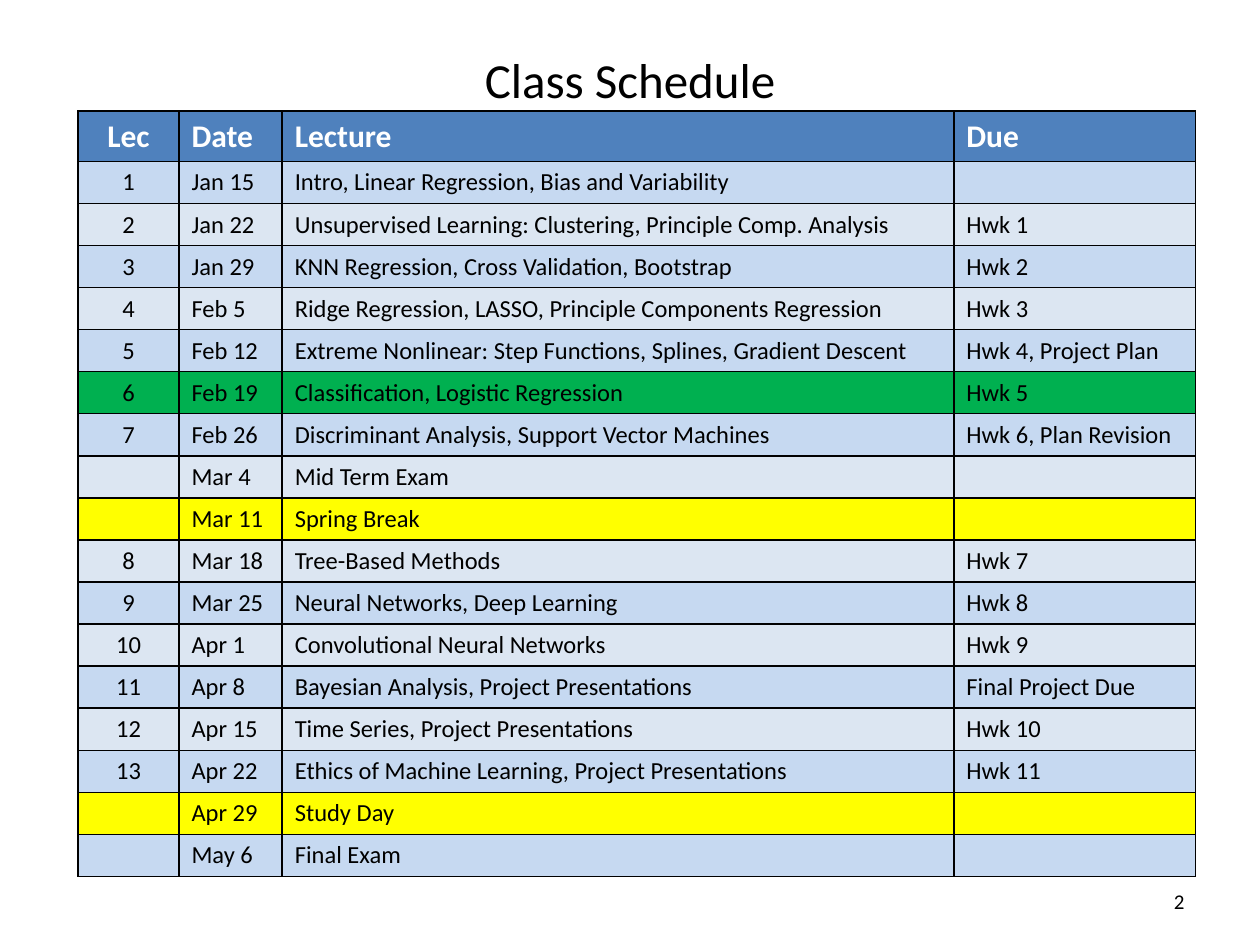
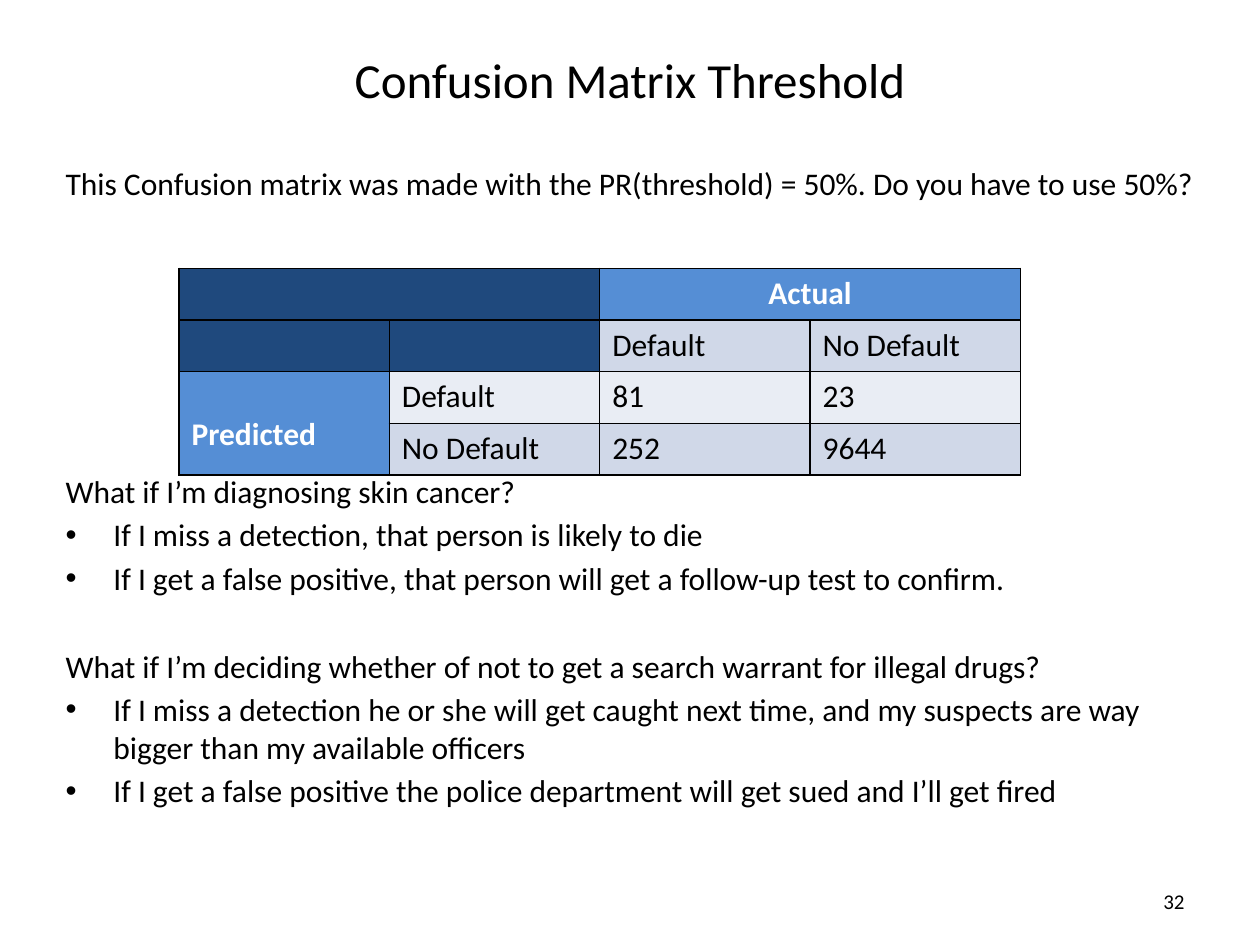
"""Builds the class schedule and confusion matrix slides."""
import dataclasses

import pptx
import pptx.dml.color
import pptx.enum.text
import pptx.oxml.ns
import pptx.util
from lxml import etree

Inches = pptx.util.Inches
Pt = pptx.util.Pt
ALIGN = pptx.enum.text.PP_ALIGN
ANCHOR = pptx.enum.text.MSO_ANCHOR
qn = pptx.oxml.ns.qn


@dataclasses.dataclass(frozen=True)
class Theme:
    font: str = "Calibri"
    title: int = 28
    text: int = 18
    entry: int = 14
    number: int = 12
    black: str = "000000"
    white: str = "FFFFFF"
    header: str = "4F81BD"
    bands: tuple = ("DCE6F2", "C6D9F1")
    current: str = "00B050"
    holiday: str = "FFFF00"
    corner: str = "1F497D"
    axis: str = "558ED5"
    matrix_bands: tuple = ("E9EDF4", "D0D8E8")
    line_gap: float = 3.25


def rgb(value):
    return pptx.dml.color.RGBColor.from_string(value)


def apply(target, values):
    for name, value in values.items():
        setattr(target, name, value)


class Deck:
    def __init__(self, theme):
        self.theme = theme
        self.show = pptx.Presentation()
        apply(self.show, {"slide_width": Inches(10), "slide_height": Inches(7.5)})
        self.slide = None

    def add_slide(self, layout, title, number):
        self.slide = self.show.slides.add_slide(self.show.slide_layouts[layout])
        heading = self.slide.shapes.title
        self.place(heading, 0.5, 0, 9, 1.25)
        heading.text_frame.vertical_anchor = ANCHOR.MIDDLE
        self.add_text(heading.text_frame.paragraphs[0], title, self.theme.title,
                      align=ALIGN.CENTER)
        box = self.slide.shapes.add_textbox(Inches(7.17), Inches(6.95), Inches(2.33), Inches(0.4))
        apply(box.text_frame, {"word_wrap": True, "vertical_anchor": ANCHOR.MIDDLE})
        self.add_text(box.text_frame.paragraphs[0], number, self.theme.number,
                      align=ALIGN.RIGHT)

    def place(self, shape, left, top, width, height):
        apply(shape, {"left": Inches(left), "top": Inches(top),
                      "width": Inches(width), "height": Inches(height)})

    def add_text(self, paragraph, text, size, color=None, bold=False, align=None):
        if align is not None:
            paragraph.alignment = align
        if not text:
            etree.SubElement(paragraph._p, qn("a:endParaRPr"), sz=str(size * 100))
            return
        run = paragraph.add_run()
        run.text = text
        apply(run.font, {"name": self.theme.font, "size": Pt(size), "bold": bold})
        run.font.color.rgb = rgb(color or self.theme.black)

    def add_body(self, lines):
        body = self.slide.placeholders[1]
        self.place(body, 0.42, 1.25, 9.17, 5.83)
        frame = body.text_frame
        frame.auto_size = pptx.enum.text.MSO_AUTO_SIZE.NONE
        for index, (text, bulleted, gap) in enumerate(lines):
            paragraph = frame.add_paragraph() if index else frame.paragraphs[0]
            properties = paragraph._p.get_or_add_pPr()
            indent = Inches(0.38) if bulleted else 0
            properties.set("marL", str(indent))
            properties.set("indent", str(-indent))
            if bulleted:
                etree.SubElement(properties, qn("a:buChar"), char="•")
            else:
                etree.SubElement(properties, qn("a:buNone"))
            paragraph.space_before = Pt(gap)
            self.add_text(paragraph, text, self.theme.text)

    def add_border(self, cell):
        properties = cell._tc.get_or_add_tcPr()
        for side in ("lnL", "lnR", "lnT", "lnB"):
            line = etree.SubElement(properties, qn("a:" + side), w=str(Pt(1)))
            fill = etree.SubElement(line, qn("a:solidFill"))
            etree.SubElement(fill, qn("a:srgbClr"), val=self.theme.black)

    def add_table(self, left, top, widths, heights, rows, style):
        frame = self.slide.shapes.add_table(
            len(rows), len(widths), Inches(left), Inches(top),
            Inches(sum(widths)), Inches(sum(heights)))
        table = frame.table
        apply(table, {"first_row": False, "horz_banding": False})
        for column, width in zip(table.columns, widths):
            column.width = Inches(width)
        for row, height in zip(table.rows, heights):
            row.height = Inches(height)
        for r, texts in enumerate(rows):
            for c, text in enumerate(texts):
                cell = table.cell(r, c)
                fill, look = style(r, c)
                self.add_border(cell)
                cell.fill.solid()
                cell.fill.fore_color.rgb = rgb(fill)
                self.add_text(cell.text_frame.paragraphs[0], text, **look)
        return table


SCHEDULE = [
    ("Lec", "Date", "Lecture", "Due"),
    ("1", "Jan 15", "Intro, Linear Regression, Bias and Variability", ""),
    ("2", "Jan 22", "Unsupervised Learning: Clustering, Principle Comp. Analysis", "Hwk 1"),
    ("3", "Jan 29", "KNN Regression, Cross Validation, Bootstrap", "Hwk 2"),
    ("4", "Feb 5", "Ridge Regression, LASSO, Principle Components Regression", "Hwk 3"),
    ("5", "Feb 12", "Extreme Nonlinear: Step Functions, Splines, Gradient Descent",
     "Hwk 4, Project Plan"),
    ("6", "Feb 19", "Classification, Logistic Regression", "Hwk 5"),
    ("7", "Feb 26", "Discriminant Analysis, Support Vector Machines", "Hwk 6, Plan Revision"),
    ("", "Mar 4", "Mid Term Exam", ""),
    ("", "Mar 11", "Spring Break", ""),
    ("8", "Mar 18", "Tree-Based Methods", "Hwk 7"),
    ("9", "Mar 25", "Neural Networks, Deep Learning", "Hwk 8"),
    ("10", "Apr 1", "Convolutional Neural Networks", "Hwk 9"),
    ("11", "Apr 8", "Bayesian Analysis, Project Presentations", "Final Project Due"),
    ("12", "Apr 15", "Time Series, Project Presentations", "Hwk 10"),
    ("13", "Apr 22", "Ethics of Machine Learning, Project Presentations", "Hwk 11"),
    ("", "Apr 29", "Study Day", ""),
    ("", "May 6", "Final Exam", ""),
]

MATRIX = [
    ("", "", "Actual", ""),
    ("", "", "Default", "No Default"),
    ("Predicted", "Default", "81", "23"),
    ("", "No Default", "252", "9644"),
]


def build_schedule(deck):
    theme = deck.theme
    special = {"Feb 19": theme.current, "Mar 11": theme.holiday, "Apr 29": theme.holiday}

    def style(row, column):
        align = ALIGN.CENTER if column == 0 else ALIGN.LEFT
        if row == 0:
            return theme.header, {"size": theme.text, "color": theme.white,
                                  "bold": True, "align": align}
        fill = special.get(SCHEDULE[row][1], theme.bands[row % 2])
        return fill, {"size": theme.entry, "align": align}

    deck.add_slide(5, "Class Schedule", "2")
    heights = [0.4] + [0.33] * (len(SCHEDULE) - 1)
    deck.add_table(0.62, 0.88, (0.8, 0.82, 5.33, 1.92), heights, SCHEDULE, style)


def build_threshold(deck):
    theme = deck.theme

    def style(row, column):
        if row < 2 and column < 2:
            return theme.corner, {"size": theme.text}
        if row == 0 or column == 0:
            align = ALIGN.CENTER if row == 0 else ALIGN.LEFT
            return theme.axis, {"size": theme.text, "color": theme.white,
                                "bold": True, "align": align}
        return theme.matrix_bands[row % 2], {"size": theme.text}

    deck.add_slide(1, "Confusion Matrix Threshold", "32")
    gap = theme.line_gap
    deck.add_body([
        ("This Confusion matrix was made with the PR(threshold) = 50%. "
         "Do you have to use 50%?", False, 0),
        ("What if I’m diagnosing skin cancer?", False, 154.5),
        ("If I miss a detection, that person is likely to die", True, gap),
        ("If I get a false positive, that person will get a follow-up test to confirm.",
         True, gap),
        ("What if I’m deciding whether of not to get a search warrant for illegal drugs?",
         False, 28.5),
        ("If I miss a detection he or she will get caught next time, and my suspects "
         "are way bigger than my available officers", True, gap),
        ("If I get a false positive the police department will get sued and I’ll get fired",
         True, gap),
    ])
    matrix = deck.add_table(1.42, 2.13, [1.67] * 4, [0.41] * 4, MATRIX, style)
    for start, end in (((0, 0), (0, 1)), ((0, 2), (0, 3)), ((2, 0), (3, 0))):
        matrix.cell(*start).merge(matrix.cell(*end))
    matrix.cell(2, 0).margin_top = Inches(0.35)


def main():
    deck = Deck(Theme())
    build_schedule(deck)
    build_threshold(deck)
    deck.show.save("out.pptx")


if __name__ == "__main__":
    main()
